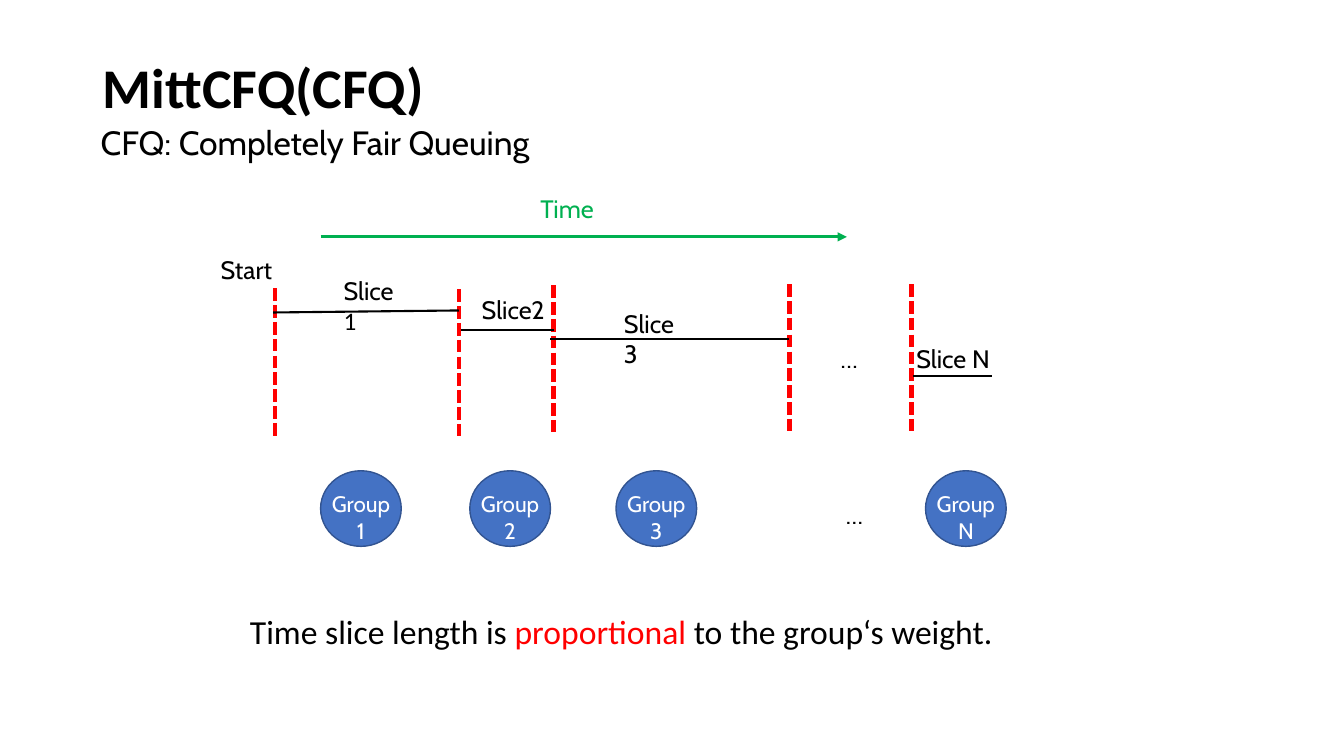
from dataclasses import dataclass

from lxml import etree
from pptx import Presentation
from pptx import util as u
from pptx.dml.color import RGBColor
from pptx.enum import dml, shapes, text
from pptx.oxml.ns import qn


@dataclass(frozen=True)
class Theme:
    ink: str = "000000"
    red: str = "FF0000"
    green: str = "00B050"
    blue: str = "4472C4"
    edge: str = "325491"
    white: str = "FFFFFF"
    head: str = "Calibri"
    body: str = "Cabin"
    title: int = 40
    lead: int = 24
    label: int = 18
    node: int = 16


T = Theme()


def style(run, size, color=T.ink, face=T.body, bold=False):
    font = run.font
    font.size, font.name, font.bold = u.Pt(size), face, bold
    font.color.rgb = RGBColor.from_string(color)


def place(shape, box):
    shape.left, shape.top, shape.width, shape.height = map(u.Inches, box)


def write(slide, box, parts, size=T.label, wrap=True):
    """Add a one-paragraph label; parts are (words, color, face)."""
    frame = slide.shapes.add_textbox(*map(u.Inches, box)).text_frame
    frame.word_wrap = wrap
    para = frame.paragraphs[0]
    for words, color, face in parts:
        run = para.add_run()
        run.text = words
        style(run, size, color, face)
    return frame


def rule(slide, start, end, color, width, dash=None, arrow=False):
    line = slide.shapes.add_connector(
        shapes.MSO_CONNECTOR.STRAIGHT, *map(u.Inches, start + end))
    line.line.color.rgb = RGBColor.from_string(color)
    line.line.width = u.Pt(width)
    if dash:
        line.line.dash_style = dash
    if arrow:
        tail = etree.SubElement(line.line._get_or_add_ln(), qn("a:tailEnd"))
        tail.set("type", "triangle")
    etree.SubElement(line._element.spPr, qn("a:effectLst"))


def header(slide, box):
    x, y, w, h = box
    title = slide.shapes.title
    place(title, box)
    title.text_frame.text = "MittCFQ(CFQ)"
    lead = write(slide, (x - 0.02, y + 0.53, w, h),
                 [("CFQ: Completely Fair Queuing", T.ink, T.body)], T.lead)
    for frame in (title.text_frame, lead):
        frame.word_wrap = True
        frame.vertical_anchor = text.MSO_ANCHOR.MIDDLE
        para = frame.paragraphs[0]
        para.alignment = text.PP_ALIGN.LEFT
        para.line_spacing = 0.9
    style(title.text_frame.paragraphs[0].runs[0], T.title, face=T.head, bold=True)


def clock(slide, box):
    x, y, w, h = box
    rule(slide, (x, y + h), (x + w, y + h), T.green, 2.25, arrow=True)
    write(slide, (x + 2.08, y, 0.91, 0.4), [("Time", T.green, T.body)])


def slices(slide, box):
    x, y, w, h = box
    # Dotted borders between slices
    for dx, dy in ((0, 0.39), (1.82, 0.4), (2.76, 0.36), (5.1, 0.35), (6.31, 0.35)):
        rule(slide, (x + dx, y + dy), (x + dx, y + dy + 1.49), T.red, 3,
             dml.MSO_LINE.SQUARE_DOT)
    # Slice lengths: start, end
    for x1, y1, x2, y2 in ((-0.02, 0.63, 1.82, 0.61), (1.84, 0.8, 2.76, 0.8),
                           (2.73, 0.89, 5.1, 0.89), (6.33, 1.26, 7.11, 1.26)):
        rule(slide, (x + x1, y + y1), (x + x2, y + y2), T.ink, 1.5)
    # Labels: words, last sign's face, left, top, width, wrap
    for words, sign, face, dx, dy, wide, wrap in (
            ("Start", "", T.body, -0.64, 0, 0.83, True),
            ("Slice ", "1", T.head, 0.58, 0.21, 0.79, True),
            ("Slice", "2", T.body, 1.95, 0.4, 1.07, False),
            ("Slice ", "3", T.body, 3.36, 0.54, 0.79, True),
            ("…", "", T.body, 5.51, 0.89, 0.45, False),
            ("Slice ", "N", T.body, 6.26, 0.89, 0.93, False)):
        parts = [(words, T.ink, T.body)]
        if sign:
            parts.append((sign, T.ink, face))
        write(slide, (x + dx, y + dy, wide, 0.4), parts, wrap=wrap)


def groups(slide, box):
    x, y, w, h = box
    for name, dx in (("1", 0), ("2", 1.48), ("3", 2.93), ("N", 6)):
        node = slide.shapes.add_shape(
            shapes.MSO_SHAPE.OVAL, *map(u.Inches, (x + dx, y, 0.8, h)))
        node.shadow.inherit = False
        node.fill.solid()
        node.fill.fore_color.rgb = RGBColor.from_string(T.blue)
        node.line.color.rgb = RGBColor.from_string(T.edge)
        node.line.width = u.Pt(1)
        frame = node.text_frame
        frame.text = f"Group\n{name}"
        frame.word_wrap = False
        frame.vertical_anchor = text.MSO_ANCHOR.TOP
        frame.margin_left = frame.margin_right = frame.margin_bottom = 0
        frame.margin_top = u.Inches(0.08)
        for para in frame.paragraphs:
            para.alignment = text.PP_ALIGN.CENTER
            style(para.runs[0], T.node, T.white)
    write(slide, (x + 5.11, y + 0.23, 0.45, 0.4), [("…", T.ink, T.body)], wrap=False)


def note(slide, box):
    write(slide, box, [("Time slice length is ", T.ink, T.head),
                       ("proportional ", T.red, T.head),
                       ("to the group‘s weight.", T.ink, T.head)], T.lead)


def main():
    deck = Presentation()
    deck.slide_width, deck.slide_height = u.Inches(13.33), u.Inches(7.5)
    slide = deck.slides.add_slide(deck.slide_layouts[5])
    header(slide, (0.92, 0.4, 11.5, 1))
    clock(slide, (3.18, 1.87, 5.22, 0.48))
    slices(slide, (2.73, 2.47, 7.11, 1.9))
    groups(slide, (3.18, 4.67, 6.8, 0.75))
    note(slide, (2.38, 6.01, 9.51, 0.5))
    deck.save("out.pptx")


if __name__ == "__main__":
    main()
